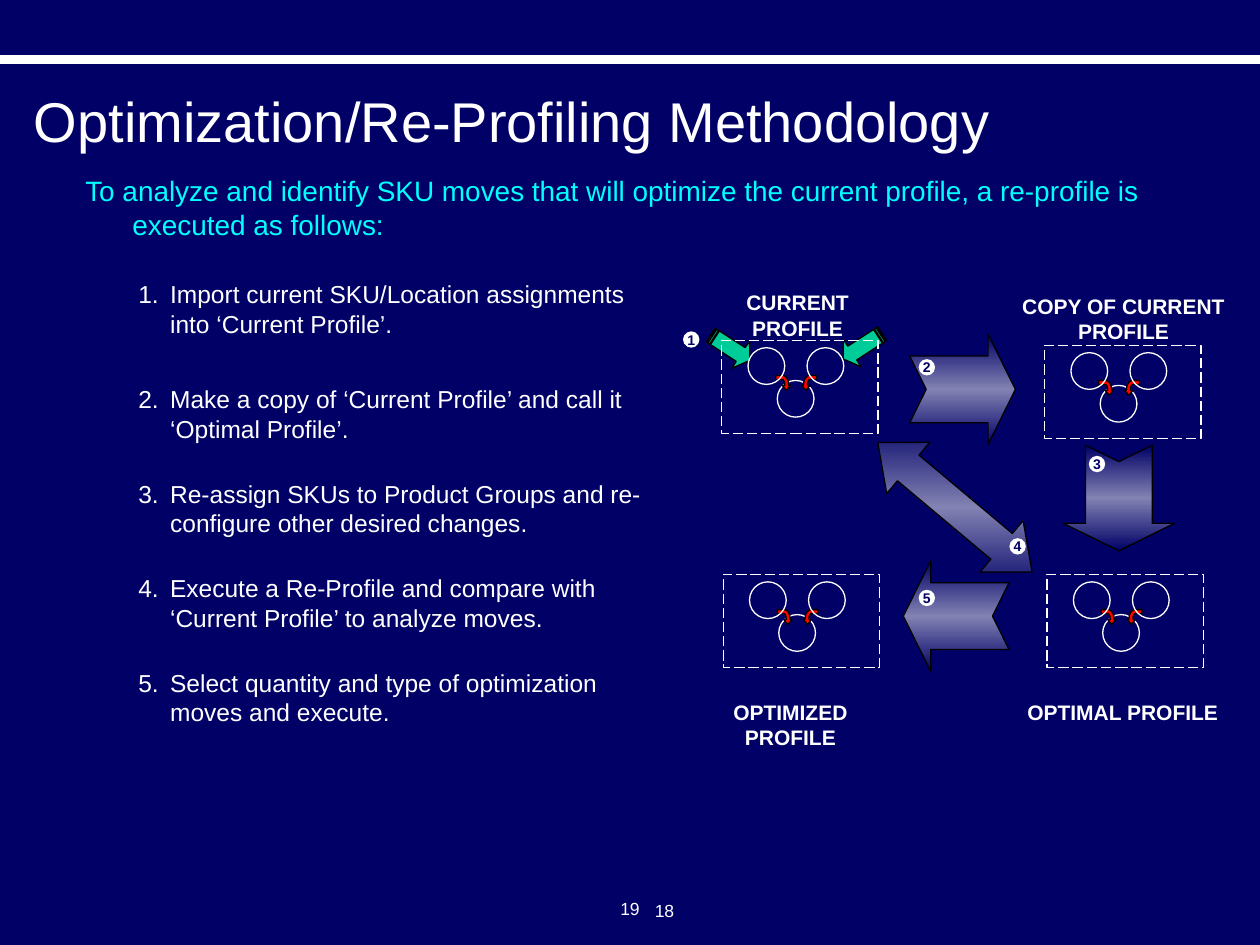
"""Build the re-profiling methodology slide."""
from copy import deepcopy
from math import cos, pi, sin

from pptx import Presentation
from pptx import util as u
from pptx.dml.color import RGBColor
from pptx.enum import dml, shapes, text
from pptx.oxml.ns import qn

NAVY = RGBColor(0x00, 0x00, 0x66)
LILAC = RGBColor(0x82, 0x82, 0xB3)
WHITE = RGBColor(0xFF, 0xFF, 0xFF)
BLACK = RGBColor(0x00, 0x00, 0x00)
CYAN = RGBColor(0x00, 0xFF, 0xFF)
GREEN = RGBColor(0x00, 0xCC, 0x99)
RED = RGBColor(0xFF, 0x00, 0x00)
KIND = shapes.MSO_SHAPE
LEFT, MID = text.PP_ALIGN.LEFT, text.PP_ALIGN.CENTER

STEPS = [
    (5.51, "Import current SKU/Location assignments into ‘Current Profile’."),
    (7.62, "Make a copy of ‘Current Profile’ and call it ‘Optimal Profile’."),
    (9.53, "Re-assign SKUs to Product Groups and re-configure other desired changes."),
    (11.43, "Execute a Re-Profile and compare with ‘Current Profile’ to analyze moves."),
    (13.34, "Select quantity and type of optimization moves and execute."),
]
PANELS = [
    ((14.55, 6.86), (13.82, 5.72, 4.52, 0.76), ["CURRENT PROFILE"]),
    ((21.06, 6.96), (20.35, 5.79, 4.6, 1.27), ["COPY OF CURRENT", "PROFILE"]),
    ((21.11, 11.58), (20.45, 13.97, 4.37, 0.76), ["OPTIMAL PROFILE"]),
    ((14.58, 11.58), (13.56, 13.97, 4.75, 0.76), ["OPTIMIZED PROFILE"]),
]
FLOWS = [
    (KIND.NOTCHED_RIGHT_ARROW, (18.34, 6.73, 2.13, 2.24), 0, (0.6, 0.26)),
    (KIND.NOTCHED_RIGHT_ARROW, (21.49, 8.92, 2.13, 2.24), 90, (0.6, 0.26)),
    (KIND.LEFT_RIGHT_ARROW, (17.22, 9.55, 4.06, 1.35), 40, (0.5, 0.594)),
    (KIND.NOTCHED_RIGHT_ARROW, (18.21, 11.3, 2.13, 2.24), 180, (0.6, 0.26)),
]
FEEDS = [((14.25, 6.68, 0.94, 0.66), 33), ((16.92, 6.65, 0.94, 0.66), 147)]
BADGES = [(13.77, 6.68), (18.52, 7.24), (21.95, 9.19), (20.35, 10.85), (18.52, 11.89)]


def scale(box):
    """Turn centimetres into slide lengths."""
    return [u.Cm(n) for n in box]


def style(shape, fill=None, line=None):
    """Set the fill and thin outline of a shape."""
    shape.shadow.inherit = False
    if fill is None:
        shape.fill.background()
    else:
        shape.fill.solid()
        shape.fill.fore_color.rgb = fill
    if line is None:
        shape.line.fill.background()
    else:
        shape.line.color.rgb = line
        shape.line.width = u.Pt(0.75)


def draw(slide, kind, box, fill=None, line=None):
    """Add a styled preset shape."""
    shape = slide.shapes.add_shape(kind, *scale(box))
    style(shape, fill, line)
    return shape


def write(frame, lines, size, color=WHITE, bold=False, align=LEFT, hang=0):
    """Fill a text frame with one run per line."""
    for i, line in enumerate(lines):
        para = frame.add_paragraph() if i else frame.paragraphs[0]
        para.alignment = align
        if hang:
            props = para._p.get_or_add_pPr()
            props.set("marL", str(u.Cm(hang)))
            props.set("indent", str(-u.Cm(hang)))
        run = para.add_run()
        run.text = line
        font = run.font
        font.name, font.size, font.bold = "Arial", u.Pt(size), bold
        font.color.rgb = color


def label(slide, box, lines, size, wrap=False, **look):
    """Add a text box."""
    frame = slide.shapes.add_textbox(*scale(box)).text_frame
    frame.word_wrap = wrap
    write(frame, lines, size, **look)


def head(slide, box):
    """Place the top band, title and introduction."""
    x, y, w = box
    draw(slide, KIND.RECTANGLE, (x, y, w, 0.15), WHITE, WHITE)
    title = slide.shapes.title
    title.left, title.top, title.width, title.height = scale((x + 0.43, y + 0.35, 24.77, 1.9))
    frame = title.text_frame
    frame.auto_size = text.MSO_AUTO_SIZE.NONE
    frame.vertical_anchor = text.MSO_ANCHOR.MIDDLE
    write(frame, ["Optimization/Re-Profiling Methodology"], 32)
    intro = ("To analyze and identify SKU moves that will optimize the current "
             "profile, a re-profile is executed as follows:")
    label(slide, (x + 1.47, y + 2.26, 22.23, 1.9), [intro], 16, True, color=CYAN, hang=0.95)


def steps(slide, x, w):
    """List the numbered steps in one column."""
    for i, (y, line) in enumerate(STEPS, 1):
        label(slide, (x, y, w, 1.7), [f"{i}.\t{line}"], 14, True, hang=0.64)


def link(slide, x, y, side):
    """Draw a small curved arrow on one side of the axis x."""
    turns = [i * pi / 10 for i in range(6)]
    outer = [(0.28 - 0.13 * sin(t), 0.18 - 0.18 * cos(t)) for t in turns]
    inner = [(0.28 - 0.05 * sin(t), 0.18 - 0.1 * cos(t)) for t in reversed(turns)]
    tip = [(0.15, 0.2), (0.11, 0.2), (0.2, 0.3), (0.28, 0.2), (0.23, 0.2)]
    dots = [(0.41, 0), *outer, *tip, *inner, (0.41, 0.08)]
    spots = [scale((x + side * a, y + b)) for a, b in dots]
    pen = slide.shapes.build_freeform(*spots[0])
    pen.add_line_segments(spots[1:], close=True)
    style(pen.convert_to_shape(), RED, BLACK)


def panel(slide, spot, place, lines):
    """Draw a dashed profile with three linked circles and its label."""
    x, y = spot
    draw(slide, KIND.OVAL, (x + 1.12, y + 0.81, 0.74, 0.74), line=WHITE)
    for side in (1, -1):
        link(slide, x + 1.5, y + 0.71, side)
    for gap in (0.53, 1.72):
        draw(slide, KIND.OVAL, (x + gap, y + 0.15, 0.74, 0.74), line=WHITE)
    frame = draw(slide, KIND.RECTANGLE, (x, y, 3.15, 1.88), line=WHITE)
    frame.line.dash_style = dml.MSO_LINE.LONG_DASH
    label(slide, place, lines, 12, bold=True, align=MID)


def arrow(slide, kind, box, turn, bends, fill=None):
    """Draw a turned block arrow, shaded from top to bottom unless filled."""
    shape = draw(slide, kind, box, fill, BLACK)
    shape.rotation = turn
    for i, bend in enumerate(bends):
        shape.adjustments[i] = bend
    if fill is None:
        shape.fill.gradient()
        shape.fill.gradient_angle = (90 + turn) % 180
        stops = shape._element.spPr.find(qn("a:gradFill")).find(qn("a:gsLst"))
        stops.append(deepcopy(stops[0]))
        for stop, at, color in zip(shape.fill.gradient_stops, (0, 0.5, 1), (NAVY, LILAC, NAVY)):
            stop.position = at
            stop.color.rgb = color


def badge(slide, spot, num):
    """Draw a small numbered disc."""
    disc = draw(slide, KIND.OVAL, (*spot, 0.33, 0.33), WHITE)
    frame = disc.text_frame
    frame.word_wrap = False
    frame.vertical_anchor = text.MSO_ANCHOR.MIDDLE
    write(frame, [str(num)], 8, NAVY, True, MID)


def cycle(slide):
    """Draw the profiles, the arrows between them and their numbers."""
    for box, turn in FEEDS:
        arrow(slide, KIND.STRIPED_RIGHT_ARROW, box, turn, (0.5, 0.33), GREEN)
    for item in PANELS:
        panel(slide, *item)
    for flow in FLOWS:
        arrow(slide, *flow)
    for num, spot in enumerate(BADGES, 1):
        badge(slide, spot, num)


def foot(slide, x, y):
    """Place the two page numbers."""
    label(slide, (x + 1.42, y + 0.03, 0.89, 0.69), ["18"], 10)
    label(slide, (x, y, 2.34, 0.84), ["19"], 10, True, align=MID)


def main():
    """Assemble and save the slide."""
    deck = Presentation()
    deck.slide_width, deck.slide_height = scale((25.4, 19.05))
    slide = deck.slides.add_slide(deck.slide_layouts[5])
    slide.background.fill.solid()
    slide.background.fill.fore_color.rgb = NAVY
    head(slide, (0, 1.12, 25.4))
    steps(slide, 2.54, 10.8)
    cycle(slide)
    foot(slide, 11.53, 17.98)
    deck.save("out.pptx")


if __name__ == "__main__":
    main()
